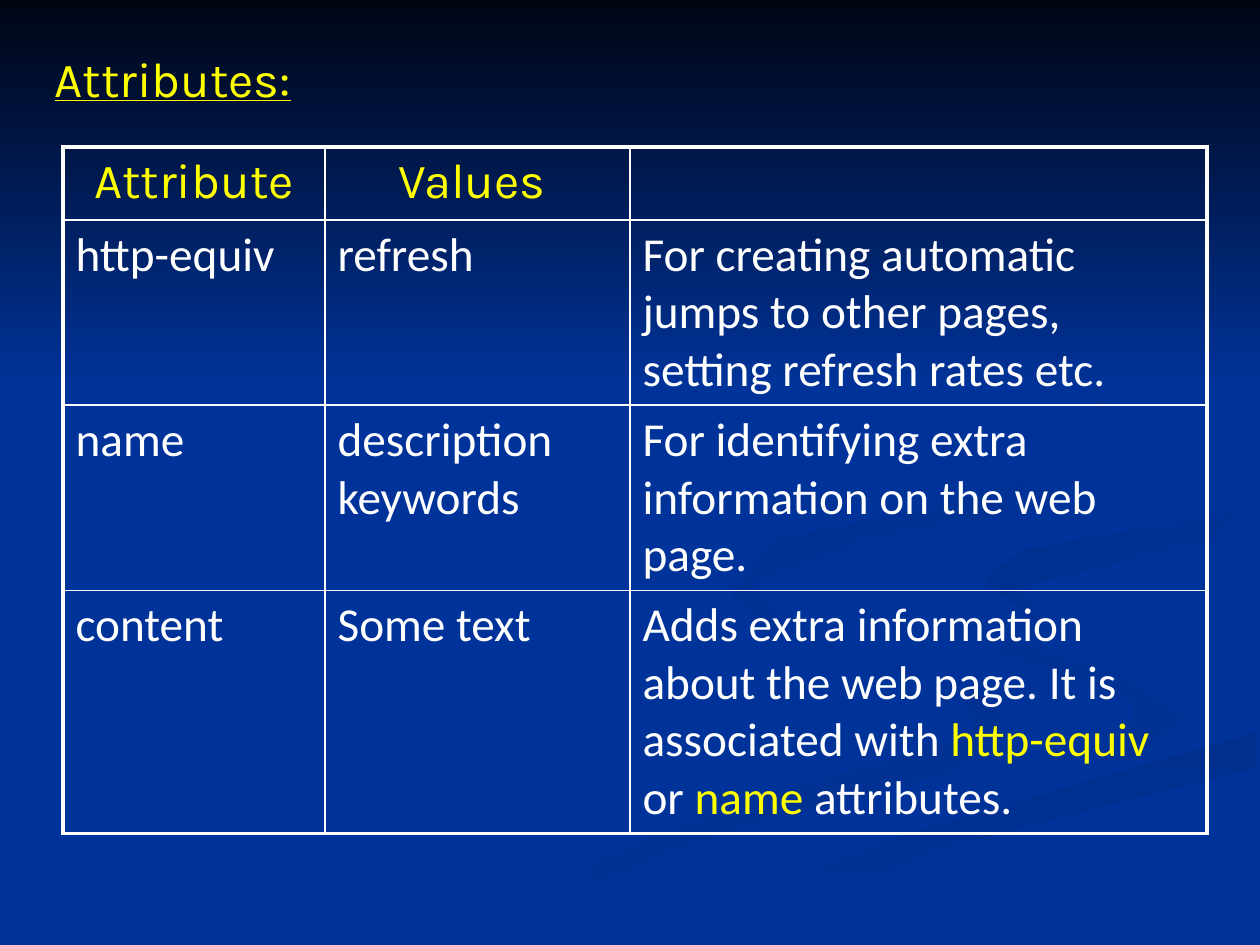
from lxml.etree import SubElement as Sub
from pptx import Presentation
from pptx.dml.color import RGBColor as Rgb
from pptx.enum.shapes import MSO_SHAPE as Kind
from pptx.enum.text import MSO_ANCHOR as Anchor, PP_ALIGN as Align
from pptx.oxml.ns import qn
from pptx.util import Pt

PX = 9144000 // 1260


class Theme:
    blue = "003399"
    night = "000514"
    dusk = "003193"
    deep = "002F8D"
    white = "FFFFFF"
    yellow = "FFFF00"
    head_font = "Karla"
    body_font = "Calibri"
    head_size = 28
    body_size = 27
    thin = 1
    thick = 2.25


def paint(shape, start, end, turn):
    """Fill with a gradient turned clockwise by the given degrees."""
    shape.shadow.inherit = False
    shape.line.fill.background()
    shape.fill.gradient()
    shape.fill.gradient_angle = (360 - turn) % 360
    for stop, tone in zip(shape.fill.gradient_stops, (start, end)):
        stop.color.rgb = Rgb.from_string(tone)


def style(run, font, size, tone):
    run.font.name = font
    run.font.size = Pt(size)
    run.font.color.rgb = Rgb.from_string(tone)


deck = Presentation()
deck.slide_width, deck.slide_height = 1260 * PX, 945 * PX
slide = deck.slides.add_slide(deck.slide_layouts[5])
shapes = slide.shapes
slide.background.fill.solid()
slide.background.fill.fore_color.rgb = Rgb.from_string(Theme.blue)

# Ribbons behind the table: start colour, end colour, turn, corner points
ribbons = [
    (Theme.blue, Theme.dusk, 0, [
        (984, 697), (789, 632), (725, 580), (759, 624), (963, 693), (975, 735),
        (730, 805), (378, 944), (455, 944), (711, 838), (953, 772), (1007, 722)]),
    (Theme.blue, Theme.dusk, 45, [
        (1188, 718), (1119, 674), (939, 617), (912, 585), (965, 645),
        (1134, 702), (1126, 762)]),
    (Theme.deep, Theme.blue, 90, [
        (634, 944), (719, 944), (948, 847), (1257, 767), (1257, 732), (877, 843)]),
    (Theme.deep, Theme.blue, 45, [
        (984, 580), (1041, 625), (1019, 587), (1257, 529), (1257, 507),
        (1021, 551)]),
    (Theme.deep, Theme.blue, 45, [
        (861, 542), (1040, 507), (1126, 433), (1062, 347), (960, 294),
        (1095, 377), (1104, 454), (961, 501), (775, 540), (731, 597),
        (784, 630), (751, 581)]),
]
for start, end, turn, dots in ribbons:
    pen = shapes.build_freeform(*dots[0], scale=PX)
    pen.add_line_segments(dots[1:], close=True)
    paint(pen.convert_to_shape(), start, end, turn)

sky = shapes.add_shape(Kind.RECTANGLE, 0, 0, 1260 * PX, 388 * PX)
paint(sky, Theme.night, Theme.blue, 90)

# The title is brought in front of the sky
title = shapes.title
title.element.getparent().append(title.element)
title.left, title.top, title.width, title.height = (n * PX for n in (42, 42, 388, 84))
title.text_frame.text = "Attributes:"
title.text_frame.vertical_anchor = Anchor.TOP
line = title.text_frame.paragraphs[0]
line.alignment = Align.LEFT
style(line.runs[0], Theme.head_font, Theme.head_size, Theme.yellow)
line.runs[0].font.underline = True

# Text between bars is highlighted
rows = [
    ("Attribute", "Values ", ""),
    ("http-equiv", "refresh",
     "For creating automatic jumps to other pages, setting refresh rates etc."),
    ("name", "description\vkeywords",
     "For identifying extra information on the web page."),
    ("content", "Some text",
     "Adds extra information about the web page. It is associated with "
     "|http-equiv| or |name| attributes."),
]
wide = [262, 305, 577]
high = [73, 185, 185, 243]
frame = shapes.add_table(len(high), len(wide), 63 * PX, 147 * PX,
                         sum(wide) * PX, sum(high) * PX)
table = frame.table
table.first_row = table.horz_banding = False
for col, size in zip(table.columns, wide):
    col.width = size * PX
for row, size in zip(table.rows, high):
    row.height = size * PX

for r, row in enumerate(rows):
    for c, text in enumerate(row):
        cell = table.cell(r, c)
        edges = {"L": c == 0, "R": c == len(wide) - 1,
                 "T": r == 0, "B": r == len(high) - 1}
        props = cell._tc.get_or_add_tcPr()
        for side, outer in edges.items():
            rule = Sub(props, qn("a:ln" + side),
                       w=str(Pt(Theme.thick if outer else Theme.thin)))
            Sub(Sub(rule, qn("a:solidFill")), qn("a:srgbClr"), val=Theme.white)
        cell.fill.background()
        if not text:
            continue
        para = cell.text_frame.paragraphs[0]
        first, *rest = text.split("|")
        para.text = first
        for part in rest:
            para.add_run().text = part
        if r == 0:
            para.alignment = Align.CENTER
            style(para.runs[0], Theme.head_font, Theme.head_size, Theme.yellow)
            continue
        for i, run in enumerate(para.runs):
            tone = Theme.yellow if rest and i % 2 else Theme.white
            style(run, Theme.body_font, Theme.body_size, tone)

deck.save("out.pptx")
